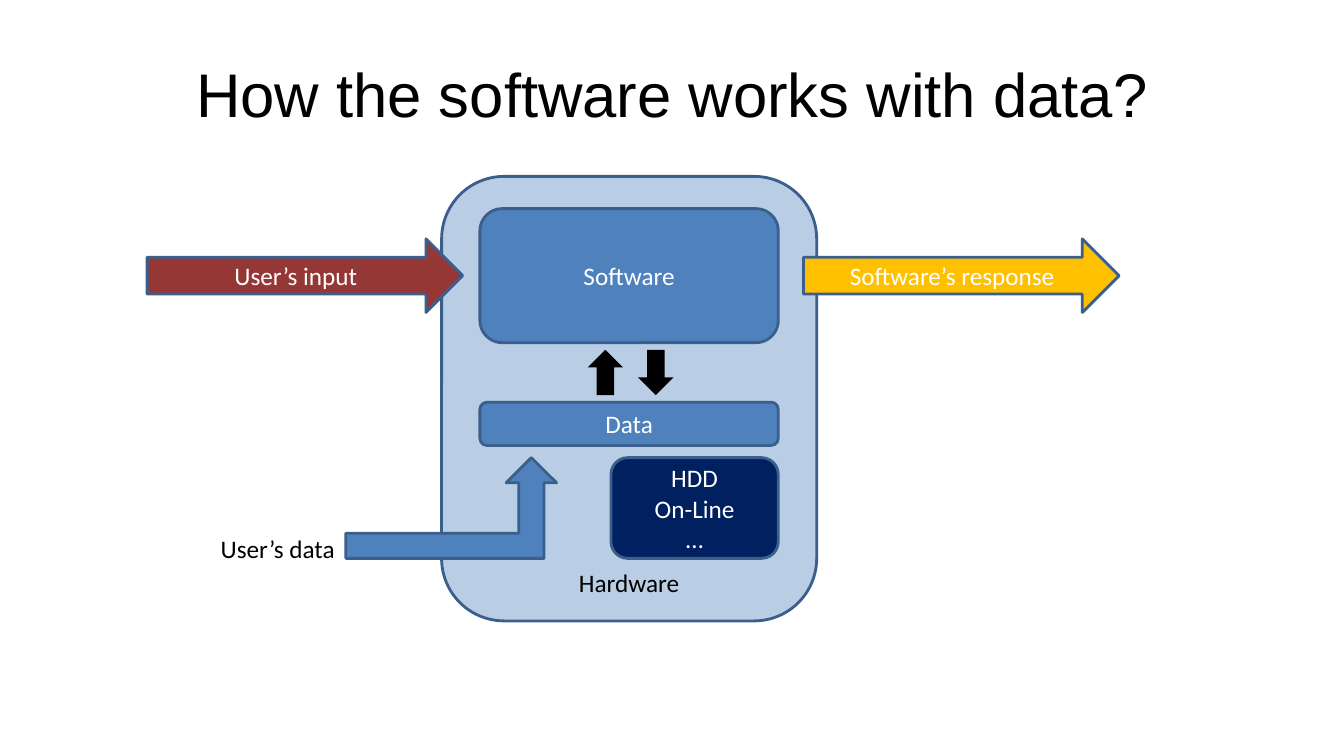
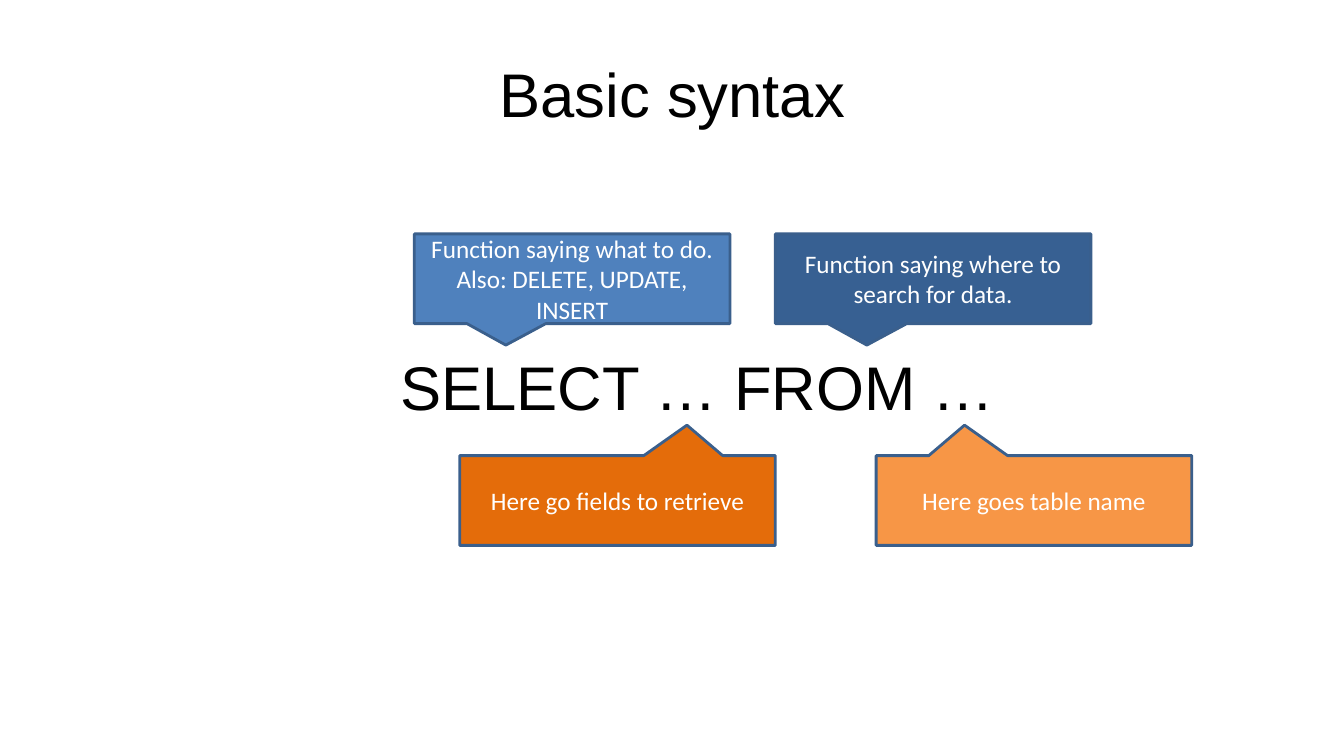
from dataclasses import dataclass

from pptx import Presentation
from pptx import util as u
from pptx.dml.color import RGBColor
from pptx.enum import shapes, text

KIND = shapes.MSO_SHAPE
ALIGN = text.PP_ALIGN
ANCHOR = text.MSO_ANCHOR


@dataclass(frozen=True)
class Theme:
    heading_font: str = "Arial"
    body_font: str = "Calibri"
    heading_size: int = 44
    body_size: int = 18
    line_width: int = 2
    outline: str = "3A5F8C"
    black: str = "000000"
    white: str = "FFFFFF"
    pale_blue: str = "B9CDE5"
    blue: str = "4F81BD"
    deep_blue: str = "376092"
    navy: str = "002060"
    red: str = "953735"
    gold: str = "FFC000"
    light_orange: str = "F79646"
    orange: str = "E46C0A"


THEME = Theme()
SLIDE_W, SLIDE_H = 13.33, 7.5
TITLE_AT = (0.67, 0.3, 12, 1.25)
HEADING = dict(font=THEME.heading_font, size=THEME.heading_size, inset=(0.12, 0.06))

# Software diagram: the hardware frame holds one column of parts.
FRAME = (4.38, 1.75, 3.72, 4.41)
PART_W = 2.96
PART_X = FRAME[0] + (FRAME[2] - PART_W) / 2
PART_RIGHT = PART_X + PART_W
SOFTWARE_Y, SOFTWARE_H = 2.07, 1.33
FLOW_W, FLOW_H = 3.13, 0.73
FLOW_Y = SOFTWARE_Y + (SOFTWARE_H - FLOW_H) / 2
STORE_Y, STORE_W, STORE_H = 4.54, 1.66, 1
EXCHANGE_Y, EXCHANGE_W, EXCHANGE_H = 3.47, 0.35, 0.45

# kind, position, fill, paragraphs, other format values
DIAGRAM = [
    (KIND.ROUNDED_RECTANGLE, FRAME, THEME.pale_blue, ["Hardware"],
     dict(color=THEME.black, anchor=ANCHOR.BOTTOM)),
    (KIND.ROUNDED_RECTANGLE, (PART_X, SOFTWARE_Y, PART_W, SOFTWARE_H), THEME.blue,
     ["Software"], {}),
    (KIND.RIGHT_ARROW, (1.46, FLOW_Y, FLOW_W, FLOW_H), THEME.red, ["User’s input"], {}),
    (KIND.RIGHT_ARROW, (7.97, FLOW_Y, FLOW_W, FLOW_H), THEME.gold,
     ["Software’s response"], {}),
    (KIND.ROUNDED_RECTANGLE, (PART_X, 3.99, PART_W, 0.43), THEME.blue, ["Data"], {}),
    (KIND.UP_ARROW, (5.83, EXCHANGE_Y, EXCHANGE_W, EXCHANGE_H), THEME.black, [],
     dict(outline=None)),
    (KIND.DOWN_ARROW, (6.33, EXCHANGE_Y, EXCHANGE_W, EXCHANGE_H), THEME.black, [],
     dict(outline=None)),
    (KIND.ROUNDED_RECTANGLE, (PART_RIGHT - STORE_W, STORE_Y, STORE_W, STORE_H), THEME.navy,
     ["HDD", "On-Line", "…"], {}),
    (KIND.BENT_UP_ARROW, (3.43, STORE_Y, 2.09, STORE_H), THEME.blue, [], {}),
]

# Syntax callouts: left, top, pointer offset, fill, paragraphs
CALLOUT_SIZE = (3.13, 0.89)
ABOVE, BELOW = 2.32, 4.52
POINT_DOWN, POINT_UP = 0.74, -0.84
CALLOUTS = [
    (4.11, ABOVE, (-0.21, POINT_DOWN), THEME.blue,
     ["Function saying what to do.", "Also: DELETE, UPDATE, INSERT"]),
    (7.69, ABOVE, (-0.21, POINT_DOWN), THEME.deep_blue,
     ["Function saying where to search for data."]),
    (8.69, BELOW, (-0.22, POINT_UP), THEME.light_orange, ["Here goes table name"]),
    (4.56, BELOW, (0.22, POINT_UP), THEME.orange, ["Here go fields to retrieve"]),
]


def rgb(value):
    return RGBColor.from_string(value)


def inches(lengths):
    return [u.Inches(length) for length in lengths]


def write(shape, lines, color=THEME.white, font=THEME.body_font, size=THEME.body_size,
          align=ALIGN.CENTER, anchor=ANCHOR.MIDDLE, wrap=True, inset=(0.1, 0.05)):
    frame = shape.text_frame
    side, edge = inches(inset)
    frame_format = dict(word_wrap=wrap, vertical_anchor=anchor, margin_left=side,
                        margin_right=side, margin_top=edge, margin_bottom=edge)
    for name, value in frame_format.items():
        setattr(frame, name, value)
    for index, line in enumerate(lines):
        para = frame.add_paragraph() if index else frame.paragraphs[0]
        para.alignment = align
        span = para.add_run()
        span.text = line
        for name, value in dict(name=font, size=u.Pt(size)).items():
            setattr(span.font, name, value)
        span.font.color.rgb = rgb(color)


def add_label(page, at, line, **style):
    box = page.shapes.add_textbox(*inches(at))
    write(box, [line], **{"color": THEME.black, **style})
    return box


def add_block(page, kind, at, fill, lines, outline=THEME.outline, **style):
    block = page.shapes.add_shape(kind, *inches(at))
    block.shadow.inherit = False
    block.fill.solid()
    block.fill.fore_color.rgb = rgb(fill)
    if outline:
        block.line.color.rgb = rgb(outline)
        block.line.width = u.Pt(THEME.line_width)
    else:
        block.line.fill.background()
    write(block, lines, **style)
    return block


def add_page(deck, title):
    page = deck.slides.add_slide(deck.slide_layouts[6])
    add_label(page, TITLE_AT, title, **HEADING)
    return page


def build_diagram(deck):
    page = add_page(deck, "How the software works with data?")
    for kind, at, fill, lines, style in DIAGRAM:
        add_block(page, kind, at, fill, lines, **style)
    add_label(page, (2.09, 5.24, 1.34, 0.4), "User’s data",
              align=ALIGN.LEFT, anchor=ANCHOR.TOP, wrap=False)


def build_syntax(deck):
    page = add_page(deck, "Basic syntax")
    statement = add_label(page, (3.85, 3.4, 7.06, 0.83), "SELECT … FROM …",
                          align=ALIGN.LEFT, anchor=ANCHOR.TOP, **HEADING)
    statement.text_frame.paragraphs[0].space_before = u.Pt(THEME.heading_size * 0.2)
    for left, top, pointer, fill, lines in CALLOUTS:
        callout = add_block(page, KIND.RECTANGULAR_CALLOUT, (left, top, *CALLOUT_SIZE),
                            fill, lines)
        for index, offset in enumerate(pointer):
            callout.adjustments[index] = offset


def main():
    deck = Presentation()
    deck.slide_width, deck.slide_height = inches((SLIDE_W, SLIDE_H))
    build_diagram(deck)
    build_syntax(deck)
    deck.save("out.pptx")


if __name__ == "__main__":
    main()
